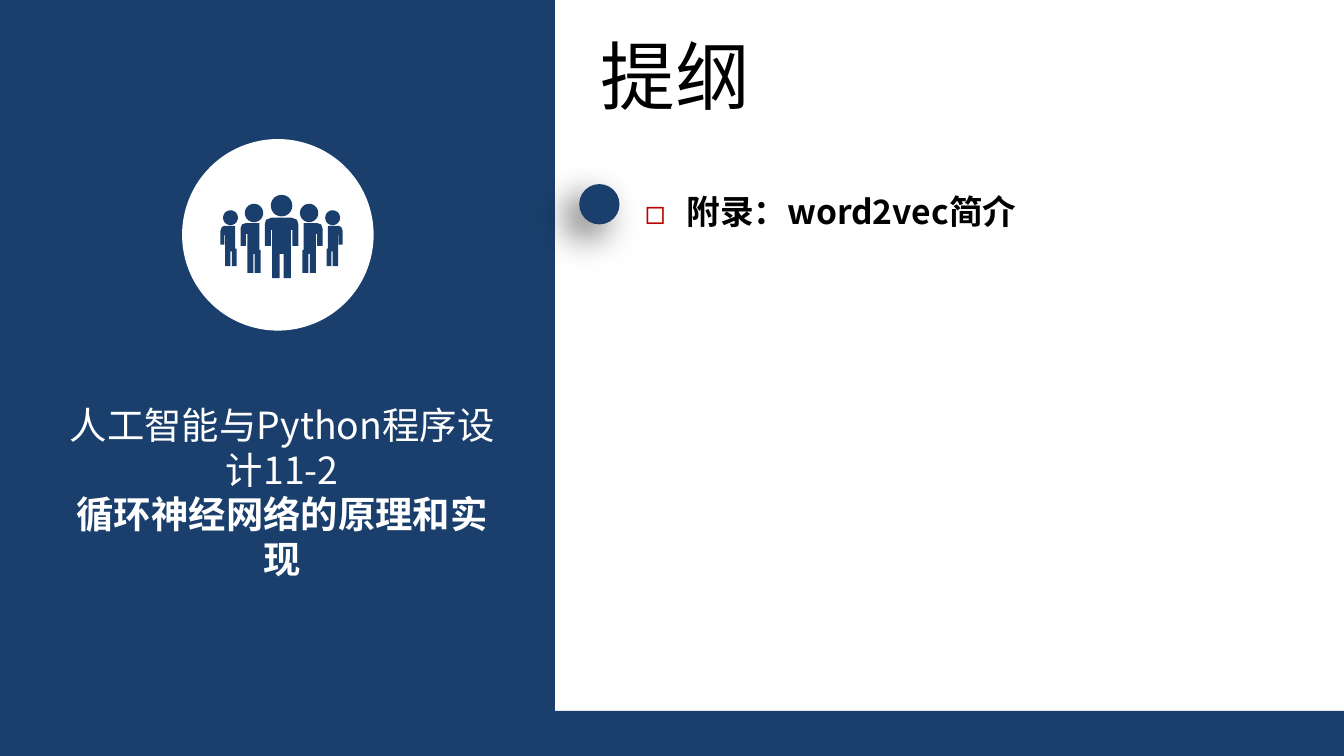
from math import cos, pi, sin

from lxml import etree
from pptx import Presentation
from pptx.dml.color import RGBColor
from pptx.enum.shapes import MSO_SHAPE
from pptx.enum.text import MSO_AUTO_SIZE, PP_ALIGN
from pptx.oxml import parse_xml
from pptx.oxml.ns import qn
from pptx.util import Inches, Pt

RECTANGLE, OVAL = MSO_SHAPE.RECTANGLE, MSO_SHAPE.OVAL
LEFT, CENTER = PP_ALIGN.LEFT, PP_ALIGN.CENTER
FIT_SHAPE = MSO_AUTO_SIZE.SHAPE_TO_FIT_TEXT
NAVY, WHITE, BLACK, RED = "1A3F6C", "FFFFFF", "000000", "C00000"
FONT = "Noto Sans CJK SC"
DRAWING = "http://schemas.openxmlformats.org/drawingml/2006/main"

presentation = Presentation()
presentation.slide_width = Inches(10)
presentation.slide_height = Inches(5.625)
CELL = presentation.slide_width / 100
COLUMNS, ROWS = 100, 56.25
slide = presentation.slides.add_slide(presentation.slide_layouts[6])


def paint(target, color):
    target.fill.solid()
    target.fill.fore_color.rgb = RGBColor.from_string(color)


def add_text(lines, place, size, color, align=LEFT, wrap=True, inset=None,
             bullet=None, indent=0, line_spacing=None):
    box = slide.shapes.add_textbox(*[round(value * CELL) for value in place])
    frame = box.text_frame
    frame.word_wrap = wrap
    frame.auto_size = FIT_SHAPE
    if inset is not None:
        frame.margin_left = frame.margin_right = inset
        frame.margin_top = frame.margin_bottom = inset
    for index, (text, bold) in enumerate(lines):
        paragraph = frame.add_paragraph() if index else frame.paragraphs[0]
        paragraph.alignment = align
        if line_spacing:
            paragraph.line_spacing = line_spacing
        if bullet:
            properties = paragraph._p.get_or_add_pPr()
            properties.set("marL", str(round(indent * CELL)))
            properties.set("indent", str(round(-indent * CELL)))
            bullet_color = etree.SubElement(properties, qn("a:buClr"))
            etree.SubElement(bullet_color, qn("a:srgbClr"), val=RED)
            etree.SubElement(properties, qn("a:buFont"), typeface=FONT)
            etree.SubElement(properties, qn("a:buChar"), char=bullet)
        run = paragraph.add_run()
        run.text = text
        run.font.size = Pt(size)
        run.font.bold = bold
        run.font.name = FONT
        paint(run.font, color)
        etree.SubElement(run._r.get_or_add_rPr(), qn("a:ea"), typeface=FONT)


for kind, place, color in [
    (RECTANGLE, (0, 52.9, COLUMNS, ROWS - 52.9), NAVY),
    (RECTANGLE, (0, 0, 41.3, ROWS), NAVY),
    (OVAL, (13.55, 10.35, 14.25, 14.25), WHITE),
    (OVAL, (43.1, 13.7, 3, 3), NAVY),
]:
    shape = slide.shapes.add_shape(kind, *[round(value * CELL) for value in place])
    shape.shadow.inherit = False
    paint(shape, color)
    shape.line.fill.background()

bullet_dot = shape
effects = bullet_dot._element.spPr.find(qn("a:effectLst"))
effects.append(parse_xml(
    f'<a:outerShdw xmlns:a="{DRAWING}" blurRad="{Pt(20)}" dist="{Pt(10)}" '
    f'dir="{135 * 60000}" algn="tr" rotWithShape="0"><a:srgbClr val="{BLACK}">'
    '<a:alpha val="60000"/></a:srgbClr></a:outerShdw>'))

AXIS = 20.95
half_leader = [(0, 18.9), (0.15, 18.9), (0.15, 20.7), (0.7, 20.7), (0.7, 17.1),
               (0.8, 17.1), (0.8, 18.3), (1.25, 18.3), (1.25, 16.7),
               (1.15, 16.35), (0.75, 16.2)]
leader = [(AXIS - x, y) for x, y in half_leader]
leader += [(AXIS + x, y) for x, y in reversed(half_leader)]
middle = [(19.4, 18.6), (19.4, 20.3), (18.95, 20.3), (18.95, 18.9), (18.85, 18.9),
          (18.85, 20.3), (18.4, 20.3), (18.4, 17.4), (18.3, 17.4), (18.3, 18.3),
          (17.9, 18.3), (17.9, 17), (18, 16.7), (18.3, 16.6), (19.3, 16.6),
          (19.3, 18.6)]
outer = [(17.6, 18.5), (17.6, 19.8), (17.25, 19.8), (17.25, 18.7), (17.15, 18.7),
         (17.15, 19.8), (16.75, 19.8), (16.75, 17.5), (16.7, 17.5), (16.7, 18.2),
         (16.4, 18.2), (16.4, 17.2), (16.5, 16.9), (16.7, 16.8), (17.5, 16.8),
         (17.5, 18.5)]
heads = []
for x, y, radius in [(AXIS, 15.3, 0.8), (18.9, 15.85, 0.68), (17.15, 16.2, 0.55)]:
    heads.append([(x + radius * cos(step * pi / 16), y + radius * sin(step * pi / 16))
                  for step in range(32)])
contours = [leader, heads[0]]
for contour in [middle, outer, *heads[1:]]:
    contours += [contour, [(2 * AXIS - x, y) for x, y in contour]]

builder = None
for contour in contours:
    points = [(round(x * 100), round(y * 100)) for x, y in contour]
    if builder is None:
        builder = slide.shapes.build_freeform(*points[0], scale=CELL / 100)
    else:
        builder.move_to(*points[0])
    builder.add_line_segments(points[1:], close=True)
people = builder.convert_to_shape()
people.shadow.inherit = False
paint(people, NAVY)
people.line.fill.background()

add_text([("提纲", False)], (43.7, 1.7, 13.2, 7.7), 40, BLACK, wrap=False)
add_text([("人工智能与Python程序设计11-2", False), ("循环神经网络的原理和实现", True)],
         (4.7, 29.9, 32.6, 13.5), 20, WHITE, align=CENTER, inset=0)
add_text([("附录：word2vec简介", True)], (47, 12.2, 49.9, 5), 18, BLACK,
         bullet="◻", indent=3.1, line_spacing=1.5)

presentation.save("out.pptx")
